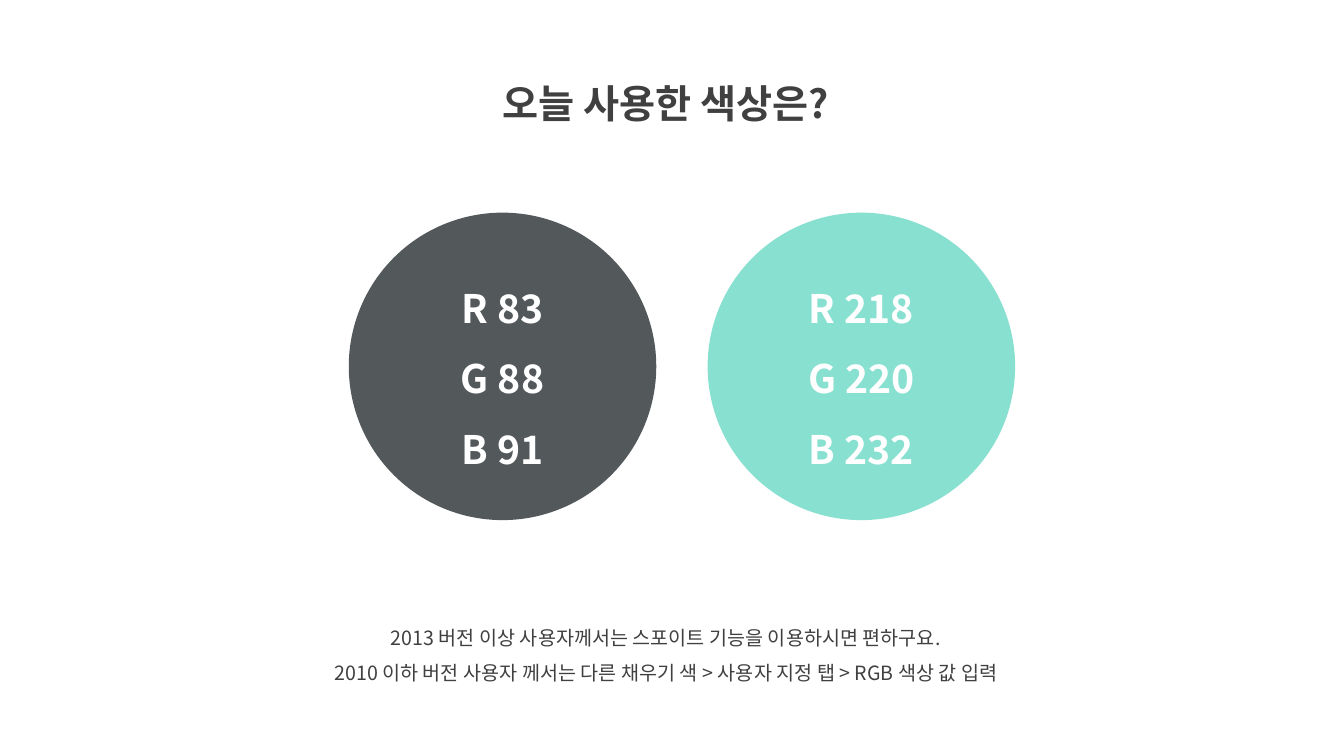
import pptx
import pptx.util
import pptx.dml.color
import pptx.enum.shapes
import pptx.enum.text
import lxml.etree

HUES = {"ink": "404040", "slate": "53585B", "mint": "88E0D0", "white": "FFFFFF"}
FACE = "Noto Sans CJK KR"

deck = pptx.Presentation()
deck.slide_width = pptx.util.Inches(13.33)
deck.slide_height = pptx.util.Inches(7.5)
slide = deck.slides.add_slide(deck.slide_layouts[6])

# One grid cell is a hundredth of the slide each way
col = deck.slide_width / 100
row = deck.slide_height / 100


def place(left, top, wide, high):
    """Turn grid columns and rows into slide lengths."""
    return [round(n) for n in (left * col, top * row, wide * col, high * row)]


def write(frame, lines, size, hue, bold):
    """Fill a text frame with centred lines at 1.5 spacing."""
    frame.word_wrap = True
    frame.text = "\n".join(lines)
    style = {"name": FACE, "size": pptx.util.Pt(size), "bold": bold}
    for para in frame.paragraphs:
        para.alignment = pptx.enum.text.PP_ALIGN.CENTER
        para.line_spacing = 1.5
        for run in para.runs:
            for key, value in style.items():
                setattr(run.font, key, value)
            run.font.color.rgb = pptx.dml.color.RGBColor.from_string(HUES[hue])
            # Hangul takes its face from the East Asian font slot
            east = lxml.etree.SubElement(
                run.font._element, pptx.oxml.ns.qn("a:ea"))
            east.set("typeface", FACE)


# Title and footnote
texts = [
    ((32.18, 6.67, 34.73, 9.6), ["오늘 사용한 색상은?"], 28, True),
    ((19.58, 80.53, 59.94, 10.8),
     ["2013 버전 이상 사용자께서는 스포이트 기능을 이용하시면 편하구요.",
      "2010 이하 버전 사용자 께서는 다른 채우기 색 > 사용자 지정 탭 > RGB 색상 값 입력"],
     14, False),
]
for area, lines, size, bold in texts:
    box = slide.shapes.add_textbox(*place(*area))
    write(box.text_frame, lines, size, "ink", bold)
    box.text_frame.auto_size = pptx.enum.text.MSO_AUTO_SIZE.SHAPE_TO_FIT_TEXT

# Colour discs
discs = [("slate", (83, 88, 91)), ("mint", (218, 220, 232))]
for i, (hue, parts) in enumerate(discs):
    disc = slide.shapes.add_shape(
        pptx.enum.shapes.MSO_SHAPE.OVAL,
        *place(25.95 + 26.7 * i, 28.13, 22.88, 40.67))
    disc.shadow.inherit = False
    disc.fill.solid()
    disc.fill.fore_color.rgb = pptx.dml.color.RGBColor.from_string(HUES[hue])
    disc.line.fill.background()
    disc.text_frame.vertical_anchor = pptx.enum.text.MSO_ANCHOR.MIDDLE
    lines = [f"{name} {part}" for name, part in zip("RGB", parts)]
    write(disc.text_frame, lines, 28, "white", True)

deck.save("out.pptx")
